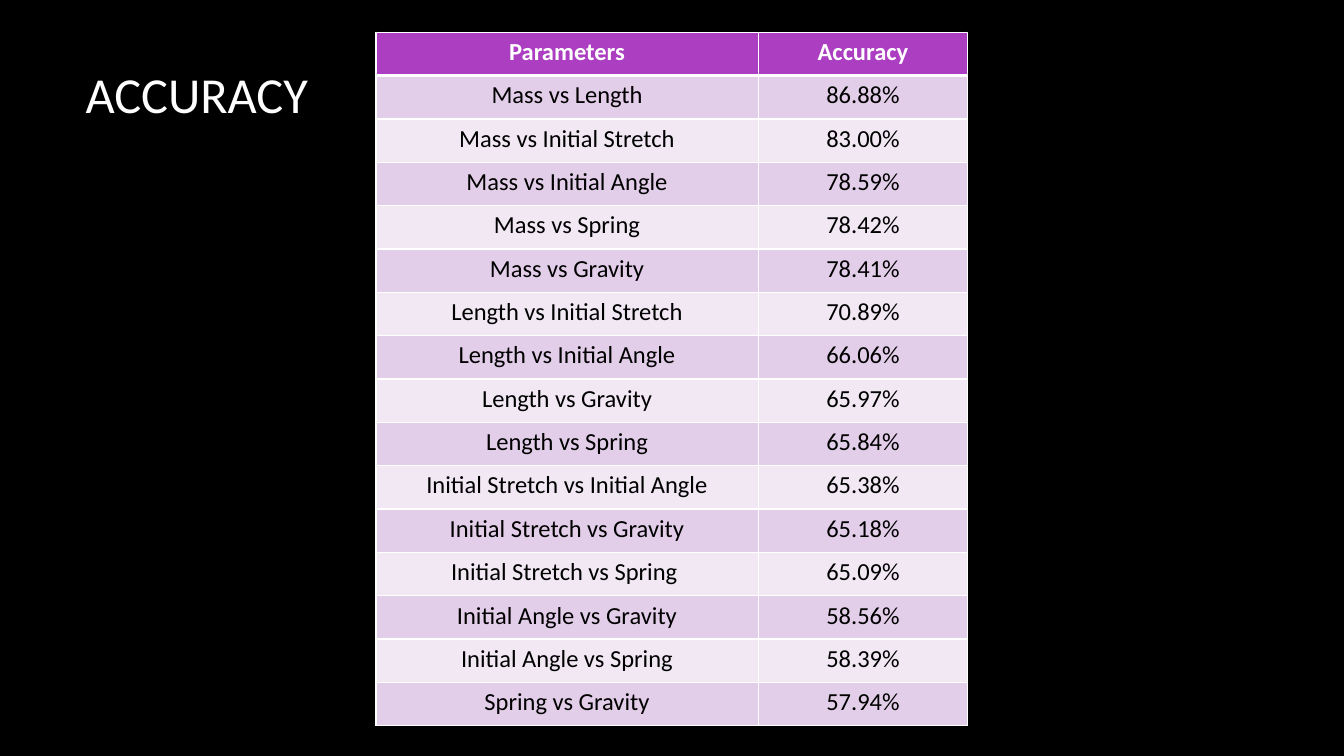
"""Build a slide that tabulates the accuracy of each parameter pair."""
from dataclasses import dataclass

from lxml import etree
from pptx import Presentation
from pptx.dml.color import RGBColor
from pptx.enum import text
from pptx.oxml import ns
from pptx.util import Inches, Pt


@dataclass(frozen=True)
class Theme:
    """Colours, font and type sizes of the slide."""
    background: str = "000000"
    light: str = "FFFFFF"
    dark: str = "000000"
    header: str = "AC3EC1"
    bands: tuple[str, str] = ("E3CEE9", "F1E8F4")
    font: str = "Calibri"
    title_size: float = 36
    table_size: float = 17.5
    border: float = 1
    header_border: float = 3


@dataclass(frozen=True)
class Result:
    """Accuracy reached with one pair of parameters."""
    parameters: str
    accuracy: str


THEME = Theme()
COLUMN_WIDTHS = (3.79, 2.08)
ROW_HEIGHT = 0.43
HEADER = Result("Parameters", "Accuracy")
RESULTS = (
    Result("Mass vs Length", "86.88%"),
    Result("Mass vs Initial Stretch", "83.00%"),
    Result("Mass vs Initial Angle", "78.59%"),
    Result("Mass vs Spring", "78.42%"),
    Result("Mass vs Gravity", "78.41%"),
    Result("Length vs Initial Stretch", "70.89%"),
    Result("Length vs Initial Angle", "66.06%"),
    Result("Length vs Gravity", "65.97%"),
    Result("Length vs Spring", "65.84%"),
    Result("Initial Stretch vs Initial Angle", "65.38%"),
    Result("Initial Stretch vs Gravity", "65.18%"),
    Result("Initial Stretch vs Spring ", "65.09%"),
    Result("Initial Angle vs Gravity", "58.56%"),
    Result("Initial Angle vs Spring", "58.39%"),
    Result("Spring vs Gravity", "57.94%"),
)


def style_text(frame, size: float, colour: str, bold: bool = False) -> None:
    """Format every run of a text frame."""
    for para in frame.paragraphs:
        for span in para.runs:
            span.font.name = THEME.font
            span.font.size = Pt(size)
            span.font.bold = bold
            span.font.color.rgb = RGBColor.from_string(colour)


def add_borders(cell, top: float, bottom: float) -> None:
    """Draw light lines around a cell, with the given top and bottom widths."""
    properties = cell._tc.get_or_add_tcPr()
    widths = {"lnL": THEME.border, "lnR": THEME.border, "lnT": top, "lnB": bottom}
    for position, (side, width) in enumerate(widths.items()):
        line = etree.Element(ns.qn(f"a:{side}"), w=str(Pt(width)))
        fill = etree.SubElement(line, ns.qn("a:solidFill"))
        etree.SubElement(fill, ns.qn("a:srgbClr"), val=THEME.light)
        properties.insert(position, line)


def fill_cell(cell, content: str, row: int) -> None:
    """Write and style one cell according to its row."""
    is_header = row == 0
    cell.text_frame.text = content
    cell.text_frame.paragraphs[0].alignment = text.PP_ALIGN.CENTER
    colour = THEME.light if is_header else THEME.dark
    style_text(cell.text_frame, THEME.table_size, colour, is_header)
    cell.fill.solid()
    shade = THEME.header if is_header else THEME.bands[(row - 1) % 2]
    cell.fill.fore_color.rgb = RGBColor.from_string(shade)
    top = THEME.header_border if row == 1 else THEME.border
    bottom = THEME.header_border if is_header else THEME.border
    add_borders(cell, top, bottom)


def add_title(page, content: str) -> None:
    """Add the slide title."""
    box = page.shapes.add_textbox(Inches(0.75), Inches(0.13), Inches(11.08), Inches(1.59))
    frame = box.text_frame
    frame.word_wrap = True
    frame.vertical_anchor = text.MSO_ANCHOR.MIDDLE
    frame.text = content
    style_text(frame, THEME.title_size, THEME.light)


def add_results(page, results: tuple[Result, ...]) -> None:
    """Add the table with a header row and one row for each result."""
    lines = (HEADER, *results)
    table = page.shapes.add_table(
        len(lines), len(COLUMN_WIDTHS), Inches(3.73), Inches(0.32),
        Inches(sum(COLUMN_WIDTHS)), Inches(ROW_HEIGHT * len(lines))).table
    for column, width in zip(table.columns, COLUMN_WIDTHS):
        column.width = Inches(width)
    for row, result in enumerate(lines):
        table.rows[row].height = Inches(ROW_HEIGHT)
        for column, content in enumerate((result.parameters, result.accuracy)):
            fill_cell(table.cell(row, column), content, row)


def main() -> None:
    """Build and save the deck."""
    deck = Presentation()
    deck.slide_width, deck.slide_height = Inches(13.33), Inches(7.5)
    page = deck.slides.add_slide(deck.slide_layouts[6])
    page.background.fill.solid()
    page.background.fill.fore_color.rgb = RGBColor.from_string(THEME.background)
    add_title(page, "ACCURACY")
    add_results(page, RESULTS)
    deck.save("out.pptx")


if __name__ == "__main__":
    main()
